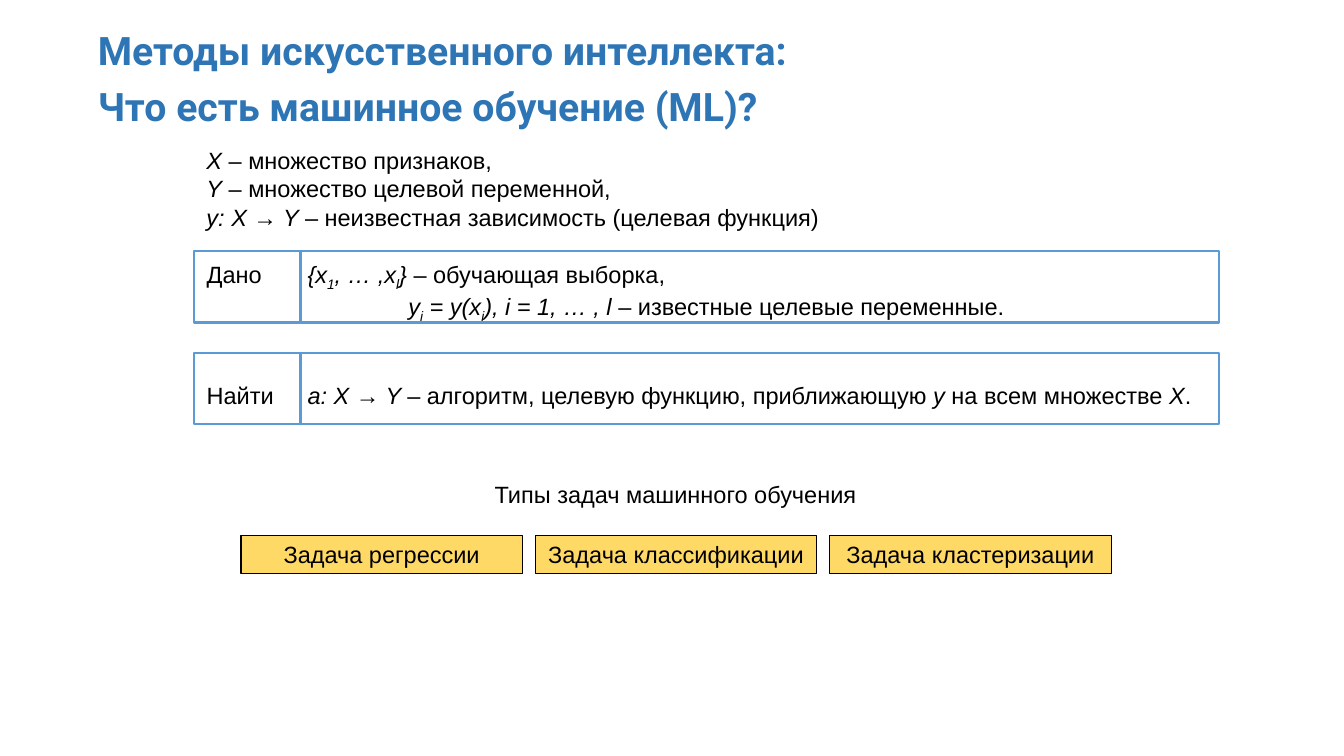
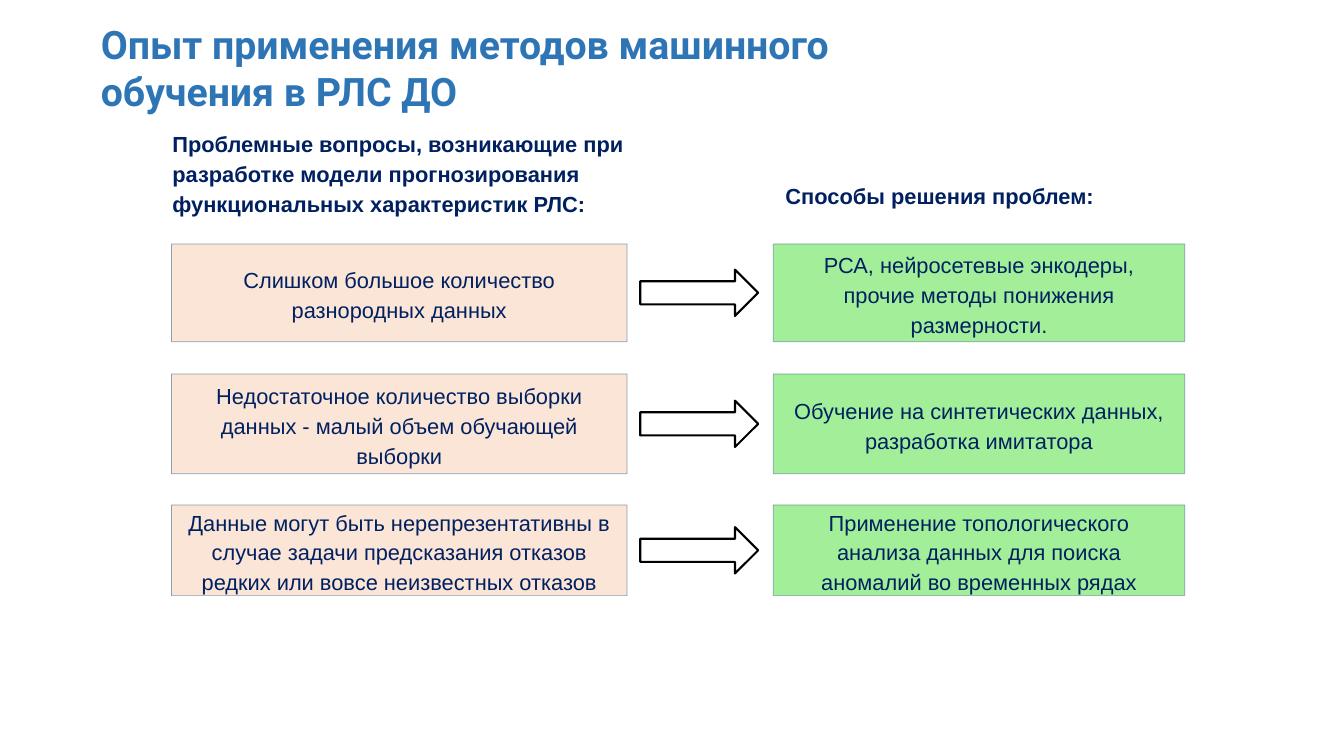
from lxml import etree
from pptx import Presentation
from pptx.dml.color import RGBColor
from pptx.enum.shapes import MSO_SHAPE
from pptx.enum.text import MSO_ANCHOR, MSO_AUTO_SIZE, PP_ALIGN
from pptx.oxml.ns import qn
from pptx.util import Inches, Pt

RECT, ARROW = MSO_SHAPE.RECTANGLE, MSO_SHAPE.RIGHT_ARROW
TOP, MIDDLE = MSO_ANCHOR.TOP, MSO_ANCHOR.MIDDLE
LEFT, CENTER = PP_ALIGN.LEFT, PP_ALIGN.CENTER
NO_FIT = MSO_AUTO_SIZE.NONE
TITLE_ONLY = 5

COLORS = {
    "title": "2E75B6", "black": "000000", "navy": "002060",
    "frame": "5B9BD5", "task": "FFD966",
    "problem": "FBE5D6", "solution": "A3EF99", "edge": "1F4E79",
}

# Text formats
WIDE = (0.12, 0.06, 0.12, 0.06)
TITLE = {"font": {"name": "Roboto", "size": Pt(28), "bold": True},
         "color": "title", "inset": WIDE, "gap": Pt(6.5)}
BODY = {"font": {"name": "Arial", "size": Pt(16.8)}, "color": "black"}
CENTERED = {**BODY, "align": CENTER}
HEADING = {"font": {"name": "Arial", "size": Pt(15.6), "bold": True},
           "color": "navy", "inset": WIDE, "spacing": 1.14}
CARD = {**HEADING, "font": {"name": "Arial", "size": Pt(15.6)},
        "align": CENTER, "anchor": MIDDLE}

# Slide 1 content: a paragraph is a string or a list of (text, style) runs
ML_TITLE = ["Методы искусственного интеллекта:", "Что есть машинное обучение (ML)?"]
DEFINITIONS = [
    [("Х", "italic"), (" – множество признаков,", "")],
    [("Y", "italic"), (" – множество целевой переменной,", "")],
    [("y: X → Y ", "italic"), ("– неизвестная зависимость (целевая функция)", "")],
]
GIVEN = [
    [("{x", "italic"), ("1", "sub"), (", … ,x", "italic"), ("l", "sub"),
     ("} ", "italic"), ("– обучающая выборка,", "")],
    [("y", "italic"), ("i", "sub"), (" = y(x", "italic"), ("i", "sub"),
     ("), i = 1, … , l ", "italic"), ("– известные целевые переменные.", "")],
]
FIND = [
    [("а: X → Y ", "italic"),
     ("– алгоритм, целевую функцию, приближающую ", ""), ("y", "italic"),
     (" на всем множестве ", ""), ("X", "italic"), (".", "")],
]
# label, statement, top, top inset, indent of the second line
STATEMENTS = [("Дано", GIVEN, 2.49, 0.09, 1.0), ("Найти", FIND, 3.5, 0.28, 0)]
TASKS_HEADING = "Типы задач машинного обучения"
TASKS = ["Задача регрессии", "Задача классификации", "Задача кластеризации"]

# Slide 2 content
PRACTICE_TITLE = ["Опыт применения методов машинного обучения в РЛС ДО"]
PROBLEMS_HEADING = ("Проблемные вопросы, возникающие при разработке модели "
                    "прогнозирования функциональных характеристик РЛС:")
SOLUTIONS_HEADING = "Способы решения проблем:"
# problem, solution, top, height
PAIRS = [
    ("Слишком большое количество разнородных данных",
     "РСА, нейросетевые энкодеры, прочие методы понижения размерности.", 2.42, 0.97),
    ("Недостаточное количество выборки данных - малый объем обучающей выборки",
     "Обучение на синтетических данных, разработка имитатора", 3.71, 0.99),
    ("Данные могут быть нерепрезентативны в случае задачи предсказания отказов "
     "редких или вовсе неизвестных отказов",
     "Применение топологического анализа данных для поиска аномалий во временных рядах",
     5.01, 0.9),
]


def rgb(name):
    return RGBColor.from_string(COLORS[name])


def write(shape, paragraphs, style):
    frame = shape.text_frame
    frame.word_wrap = True
    frame.auto_size = NO_FIT
    frame.vertical_anchor = style.get("anchor", TOP)
    sides = ("margin_left", "margin_top", "margin_right", "margin_bottom")
    for side, value in zip(sides, style.get("inset", (0.1, 0.05, 0.1, 0.05))):
        setattr(frame, side, Inches(value))
    for index, content in enumerate(paragraphs):
        paragraph = frame.add_paragraph() if index else frame.paragraphs[0]
        paragraph.alignment = style.get("align", LEFT)
        paragraph.line_spacing = style.get("spacing", 1.0)
        paragraph.space_before = style.get("gap", 0) if index else 0
        if index and style.get("indent"):
            paragraph._p.get_or_add_pPr().set("marL", str(Inches(style["indent"])))
        runs = [(content, "")] if isinstance(content, str) else content
        for text, kind in runs:
            run = paragraph.add_run()
            run.text = text
            for key, value in style["font"].items():
                setattr(run.font, key, value)
            run.font.color.rgb = rgb(style["color"])
            if kind:
                run.font.italic = True
            if kind == "sub":
                run._r.get_or_add_rPr().set("baseline", "-25000")


def add_text(slide, box, paragraphs, style):
    write(slide.shapes.add_textbox(*map(Inches, box)), paragraphs, style)


def add_box(slide, box, line, width, fill=None, kind=RECT, alpha=None):
    shape = slide.shapes.add_shape(kind, *map(Inches, box))
    shape.shadow.inherit = False
    if fill:
        shape.fill.solid()
        shape.fill.fore_color.rgb = rgb(fill)
    else:
        shape.fill.background()
    shape.line.color.rgb = rgb(line)
    shape.line.width = Pt(width)
    if alpha:
        color = shape.line._ln.find(".//" + qn("a:srgbClr"))
        etree.SubElement(color, qn("a:alpha")).set("val", str(alpha * 1000))
    return shape


def add_slide(prs, title, left, top):
    slide = prs.slides.add_slide(prs.slide_layouts[TITLE_ONLY])
    heading = slide.shapes.title
    box = {"left": left, "top": top, "width": 8.99, "height": 0.9}
    for key, value in box.items():
        setattr(heading, key, Inches(value))
    write(heading, title, TITLE)
    return slide


def build_definition_slide(prs):
    slide = add_slide(prs, ML_TITLE, 0.85, 0.2)
    add_text(slide, (1.95, 1.4, 10.54, 0.95), DEFINITIONS, BODY)

    # Framed statements
    label_left, label_width, statement_width, height = 1.92, 1.06, 9.11, 0.71
    for label, statement, top, inset, indent in STATEMENTS:
        cells = [(label_left, label_width, [label], 0.13),
                 (label_left + label_width, statement_width, statement, 0.07)]
        for left, width, paragraphs, side in cells:
            cell = add_box(slide, (left, top, width, height), "frame", 1.5)
            write(cell, paragraphs,
                  {**BODY, "inset": (side, inset, 0.05, 0), "indent": indent})

    # Task types
    add_text(slide, (4.42, 4.71, 4.56, 0.38), [TASKS_HEADING], CENTERED)
    width, gap = 2.79, 0.13
    for index, task in enumerate(TASKS):
        left = 2.39 + index * (width + gap)
        write(add_box(slide, (left, 5.31, width, 0.38), "black", 0.75, "task"),
              [task], CENTERED)


def build_practice_slide(prs):
    slide = add_slide(prs, PRACTICE_TITLE, 0.88, 0.14)
    add_text(slide, (1.59, 1.2, 4.76, 1.02), [PROBLEMS_HEADING], HEADING)
    add_text(slide, (7.67, 1.72, 3.99, 0.42), [SOLUTIONS_HEADING], HEADING)

    # Problem, arrow, solution
    arrow_height = 0.46
    for problem, solution, top, height in PAIRS:
        cards = [(problem, 1.7, 4.52, "problem"), (solution, 7.67, 4.08, "solution")]
        for text, left, width, fill in cards:
            card = add_box(slide, (left, top, width, height), "edge", 0.5, fill, alpha=50)
            write(card, [text], CARD)
        arrow_top = top + (height - arrow_height) / 2
        add_box(slide, (6.35, arrow_top, 1.17, arrow_height), "black", 1.5, kind=ARROW)


def main():
    prs = Presentation()
    prs.slide_width, prs.slide_height = Inches(13.33), Inches(7.5)
    build_definition_slide(prs)
    build_practice_slide(prs)
    prs.save("out.pptx")


if __name__ == "__main__":
    main()
